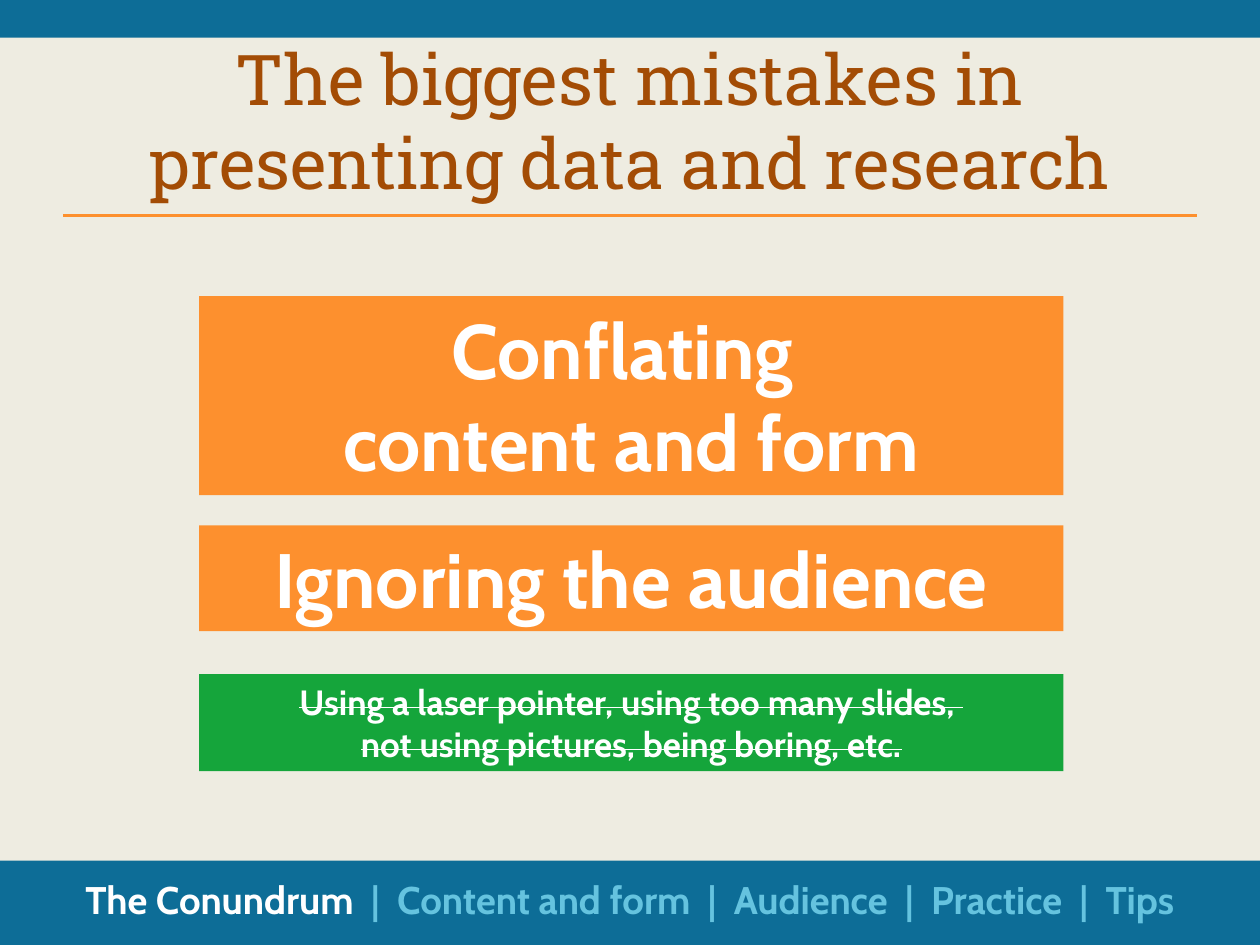
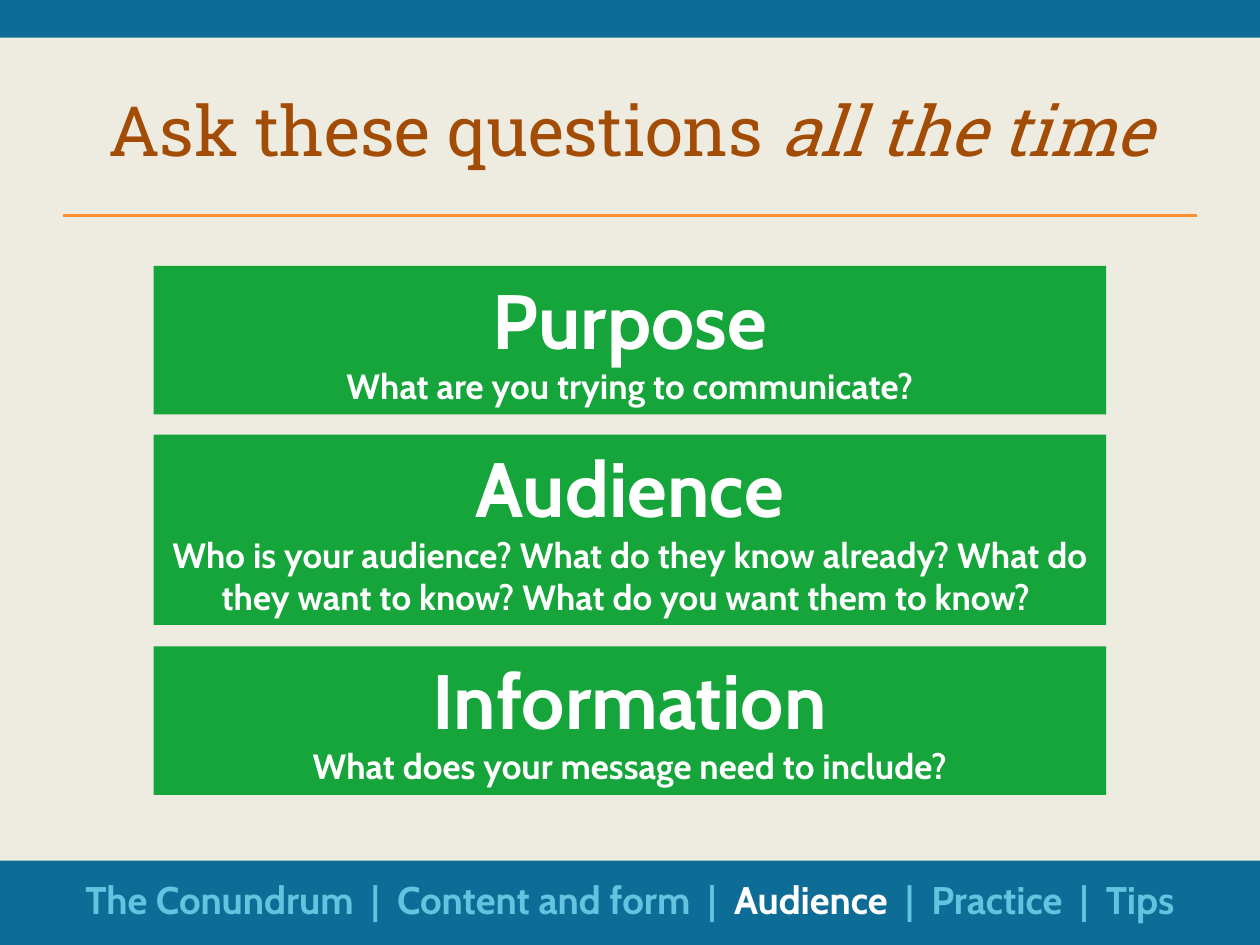
from dataclasses import dataclass

import pptx
import pptx.dml.color
import pptx.enum.shapes
import pptx.enum.text
import pptx.oxml.ns
import pptx.util
from lxml import etree
from pptx.util import Inches

# Shared look
CREAM, BLUE, PALE_BLUE = "EEECE1", "0D6D97", "65C3DF"
ORANGE, GREEN, BROWN, WHITE = "FD902E", "15A53B", "A34C05", "FFFFFF"
TITLE_FONT, BODY_FONT = "Roboto Slab", "Cabin"
HEADING_SIZE, DETAIL_SIZE, FOOTER_SIZE = 44, 20, 22
SECTIONS = ["The Conundrum", "Content and form", "Audience", "Practice", "Tips"]


@dataclass
class Span:
    """A stretch of text in one format; a newline is a line break."""
    text: str
    size: float
    color: str = WHITE
    font: str = BODY_FONT
    bold: bool = True
    italic: bool = False
    strike: bool = False


@dataclass
class Card:
    top: float
    height: float
    fill: str
    spans: list[Span]


def rgb(color: str) -> pptx.dml.color.RGBColor:
    return pptx.dml.color.RGBColor.from_string(color)


def write(shape, spans: list[Span], *, middle: bool = False, grow: bool = True) -> None:
    """Fill a shape with one centred paragraph."""
    frame = shape.text_frame
    frame.word_wrap = True
    anchor = pptx.enum.text.MSO_ANCHOR
    frame.vertical_anchor = anchor.MIDDLE if middle else anchor.TOP
    fit = pptx.enum.text.MSO_AUTO_SIZE
    frame.auto_size = fit.SHAPE_TO_FIT_TEXT if grow else fit.NONE
    paragraph = frame.paragraphs[0]
    paragraph.alignment = pptx.enum.text.PP_ALIGN.CENTER
    for span in spans:
        for number, line in enumerate(span.text.split("\n")):
            if number:
                paragraph.add_line_break()
            if not line:
                continue
            run = paragraph.add_run()
            run.text = line
            run.font.size = pptx.util.Pt(span.size)
            run.font.name = span.font
            run.font.bold = span.bold
            run.font.italic = span.italic
            run.font.color.rgb = rgb(span.color)
            if span.strike:
                run.font._element.set("strike", "sngStrike")


def add_block(slide, left: float, top: float, width: float, height: float, fill: str):
    block = slide.shapes.add_shape(
        pptx.enum.shapes.MSO_SHAPE.RECTANGLE,
        Inches(left), Inches(top), Inches(width), Inches(height))
    block.shadow.inherit = False
    block.fill.solid()
    block.fill.fore_color.rgb = rgb(fill)
    block.line.fill.background()
    return block


def add_text(slide, top: float, height: float, spans: list[Span], **layout) -> None:
    box = slide.shapes.add_textbox(Inches(0.5), Inches(top), Inches(9), Inches(height))
    write(box, spans, **layout)


def title_span(text: str, size: float, italic: bool = False) -> Span:
    return Span(text, size, BROWN, TITLE_FONT, bold=False, italic=italic)


def footer_spans(current: str) -> list[Span]:
    """List the sections with the current one in white."""
    spans = []
    for section in SECTIONS:
        if spans:
            spans.append(Span("  |  ", FOOTER_SIZE, PALE_BLUE))
        color = WHITE if section == current else PALE_BLUE
        spans.append(Span(section, FOOTER_SIZE, color))
    return spans


def add_slide(deck, title: list[Span], title_top: float, section: str,
              cards: list[Card], card_width: float, card_left: float) -> None:
    slide = deck.slides.add_slide(deck.slide_layouts[6])
    slide.background.fill.solid()
    slide.background.fill.fore_color.rgb = rgb(CREAM)

    # Bands and title rule
    add_block(slide, 0, 6.83, 10, 0.67, BLUE)
    add_block(slide, 0, 0, 10, 0.3, BLUE)
    rule = slide.shapes.add_connector(
        pptx.enum.shapes.MSO_CONNECTOR.STRAIGHT,
        Inches(0.5), Inches(1.71), Inches(9.5), Inches(1.71))
    rule.line.color.rgb = rgb(ORANGE)
    rule.line.width = pptx.util.Pt(2)
    etree.SubElement(rule._element.spPr, pptx.oxml.ns.qn("a:effectLst"))

    # Title, cards and section footer
    add_text(slide, title_top, 1.05, title, middle=True, grow=False)
    for card in cards:
        block = add_block(slide, card_left, card.top, card_width, card.height, card.fill)
        write(block, card.spans)
    add_text(slide, 6.9, 0.47, footer_spans(section))


def question_card(top: float, height: float, heading: str, question: str) -> Card:
    return Card(top, height, GREEN,
                [Span(heading + "\n", HEADING_SIZE), Span(question, DETAIL_SIZE)])


def main() -> None:
    deck = pptx.Presentation()
    deck.slide_width, deck.slide_height = Inches(10), Inches(7.5)

    # Slide 1: mistakes
    add_slide(
        deck,
        [title_span("The biggest mistakes in presenting data and research", 40)],
        0.42, "The Conundrum",
        [
            Card(2.35, 1.58, ORANGE, [Span("Conflating \ncontent and form", HEADING_SIZE)]),
            Card(4.17, 0.84, ORANGE, [Span("Ignoring the audience", HEADING_SIZE)]),
            Card(5.35, 0.77, GREEN, [Span(
                "Using a laser pointer, using too many slides, \n"
                "not using pictures, being boring, etc.", DETAIL_SIZE, strike=True)]),
        ],
        card_width=6.86, card_left=1.58)

    # Slide 2: questions
    add_slide(
        deck,
        [title_span("Ask these questions ", 39.6), title_span("all the time", 39.6, italic=True)],
        0.5, "Audience",
        [
            question_card(2.11, 1.18, "Purpose", "What are you trying to communicate?"),
            question_card(3.45, 1.51, "Audience",
                          "Who is your audience? What do they know already? "
                          "What do they want to know? What do you want them to know? "),
            question_card(5.13, 1.18, "Information", "What does your message need to include?"),
        ],
        card_width=7.56, card_left=1.22)

    deck.save("out.pptx")


if __name__ == "__main__":
    main()
